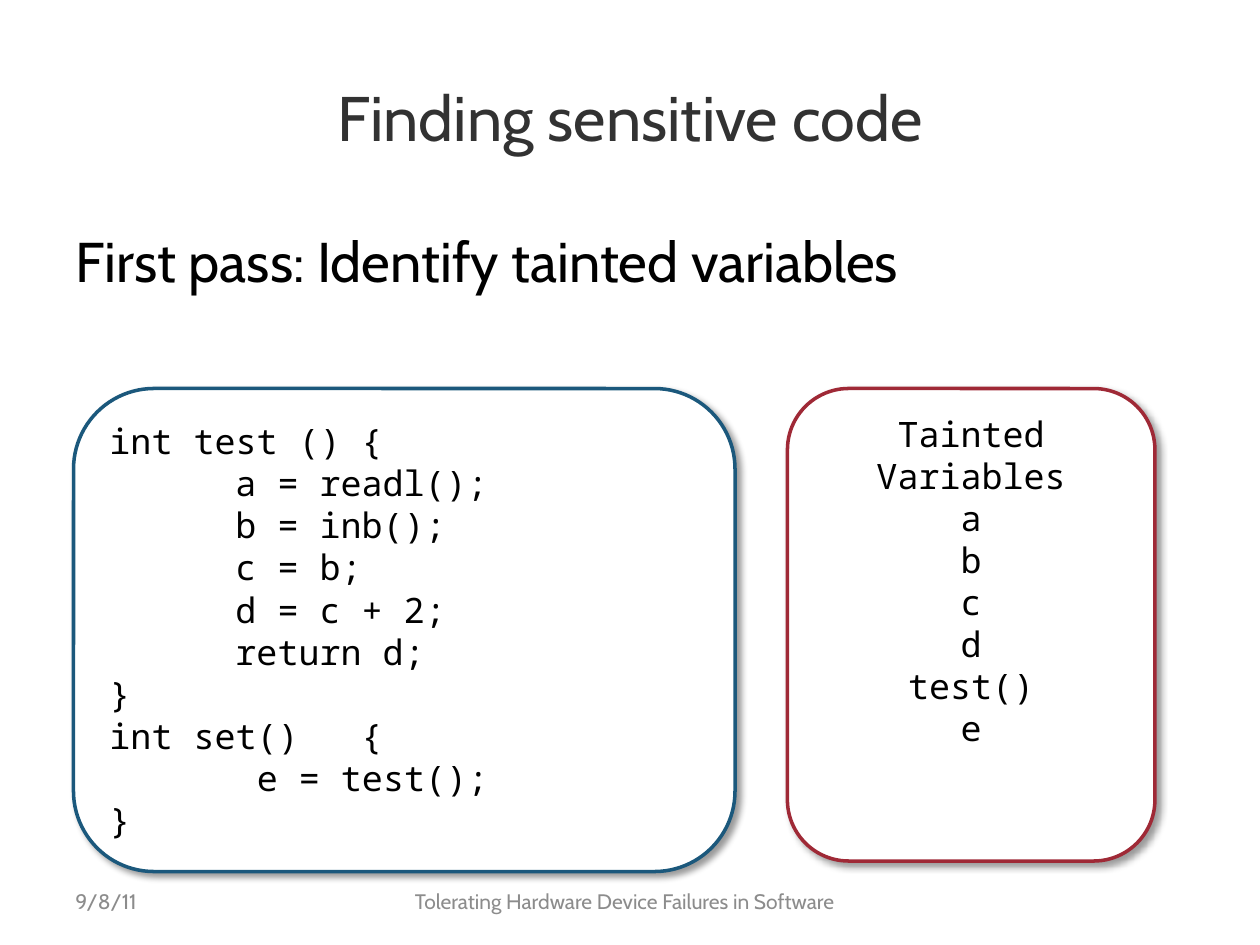
import lxml.etree
import pptx
import pptx.dml.color
import pptx.enum.shapes
import pptx.enum.text
import pptx.oxml
import pptx.oxml.ns
import pptx.util

COLORS = {
    "title": "323232", "text": "000000", "footer": "8C8C8C",
    "code": "1B587C", "tainted": "9F2936", "panel": "FFFFFF",
}
LEFT, CENTER = pptx.enum.text.PP_ALIGN.LEFT, pptx.enum.text.PP_ALIGN.CENTER
TOP, MIDDLE = pptx.enum.text.MSO_ANCHOR.TOP, pptx.enum.text.MSO_ANCHOR.MIDDLE

presentation = pptx.Presentation()
presentation.slide_width = pptx.util.Inches(10)
presentation.slide_height = pptx.util.Inches(7.5)
slide = presentation.slides.add_slide(presentation.slide_layouts[6])

# Grid of 120 columns by 90 rows
COLUMN = presentation.slide_width / 120
ROW = presentation.slide_height / 90


def place(left, top, width, height):
    return [int(left * COLUMN), int(top * ROW), int(width * COLUMN), int(height * ROW)]


def write(shape, lines, font, size, color, align, anchor):
    """Fill a shape with (text, left margin in inches) lines."""
    frame = shape.text_frame
    frame.word_wrap = True
    frame.vertical_anchor = anchor
    for index, (text, margin) in enumerate(lines):
        paragraph = frame.paragraphs[0] if index == 0 else frame.add_paragraph()
        paragraph.text = text
        paragraph.alignment = align
        paragraph.font.name = font
        paragraph.font.size = pptx.util.Pt(size)
        paragraph.font.color.rgb = pptx.dml.color.RGBColor.from_string(COLORS[color])
        if margin:
            properties = paragraph._p.get_or_add_pPr()
            properties.set("marL", str(pptx.util.Inches(margin)))
            properties.set("indent", "0")


# Title, statement and footer
for text, area, size, color, align, anchor in [
    ("Finding sensitive code", (6, 3.6, 108, 15), 36, "title", CENTER, MIDDLE),
    ("First pass: Identify tainted variables", (6, 21, 108, 59.4), 32, "text", LEFT, TOP),
    ("9/8/11", (6, 83.4, 28, 4.8), 12, "footer", LEFT, MIDDLE),
    ("Tolerating Hardware Device Failures in Software", (36, 83.4, 47, 4.8),
     12, "footer", CENTER, MIDDLE),
]:
    box = slide.shapes.add_textbox(*place(*area))
    write(box, [(text, 0)], "Cabin", size, color, align, anchor)

# Code panel and list of tainted variables
code_lines = [
    ("int test ()\t{", 0),
    ("a = readl();", 1),
    ("b = inb();", 1),
    ("c = b;", 1),
    ("d = c + 2;", 1),
    ("return d;", 1),
    ("}", 0),
    ("int set()\t{", 0),
    ("e = test();", 1.17),
    ("}", 0),
]
tainted_lines = [(name, 0) for name in
                 ("Tainted Variables", "a", "b", "c", "d", "test()", "e")]

for lines, area, color, align, anchor in [
    (code_lines, (7, 37, 63, 46), "code", LEFT, MIDDLE),
    (tainted_lines, (75, 37, 35, 45), "tainted", CENTER, TOP),
]:
    panel = slide.shapes.add_shape(
        pptx.enum.shapes.MSO_SHAPE.ROUNDED_RECTANGLE, *place(*area))
    panel.fill.solid()
    panel.fill.fore_color.rgb = pptx.dml.color.RGBColor.from_string(COLORS["panel"])
    panel.line.color.rgb = pptx.dml.color.RGBColor.from_string(COLORS[color])
    panel.line.width = pptx.util.Pt(2)
    write(panel, lines, "Noto Sans Mono", 20, "text", align, anchor)

    # Soft shadow to the lower right
    panel.shadow.inherit = False
    effects = panel._element.spPr.find(pptx.oxml.ns.qn("a:effectLst"))
    shadow = lxml.etree.SubElement(
        effects, pptx.oxml.ns.qn("a:outerShdw"), blurRad=str(pptx.util.Pt(4)),
        dist=str(pptx.util.Pt(3)), dir=str(45 * 60000), algn="tl", rotWithShape="0")
    tint = lxml.etree.SubElement(shadow, pptx.oxml.ns.qn("a:srgbClr"), val=COLORS["text"])
    lxml.etree.SubElement(tint, pptx.oxml.ns.qn("a:alpha"), val="40000")

presentation.save("out.pptx")
